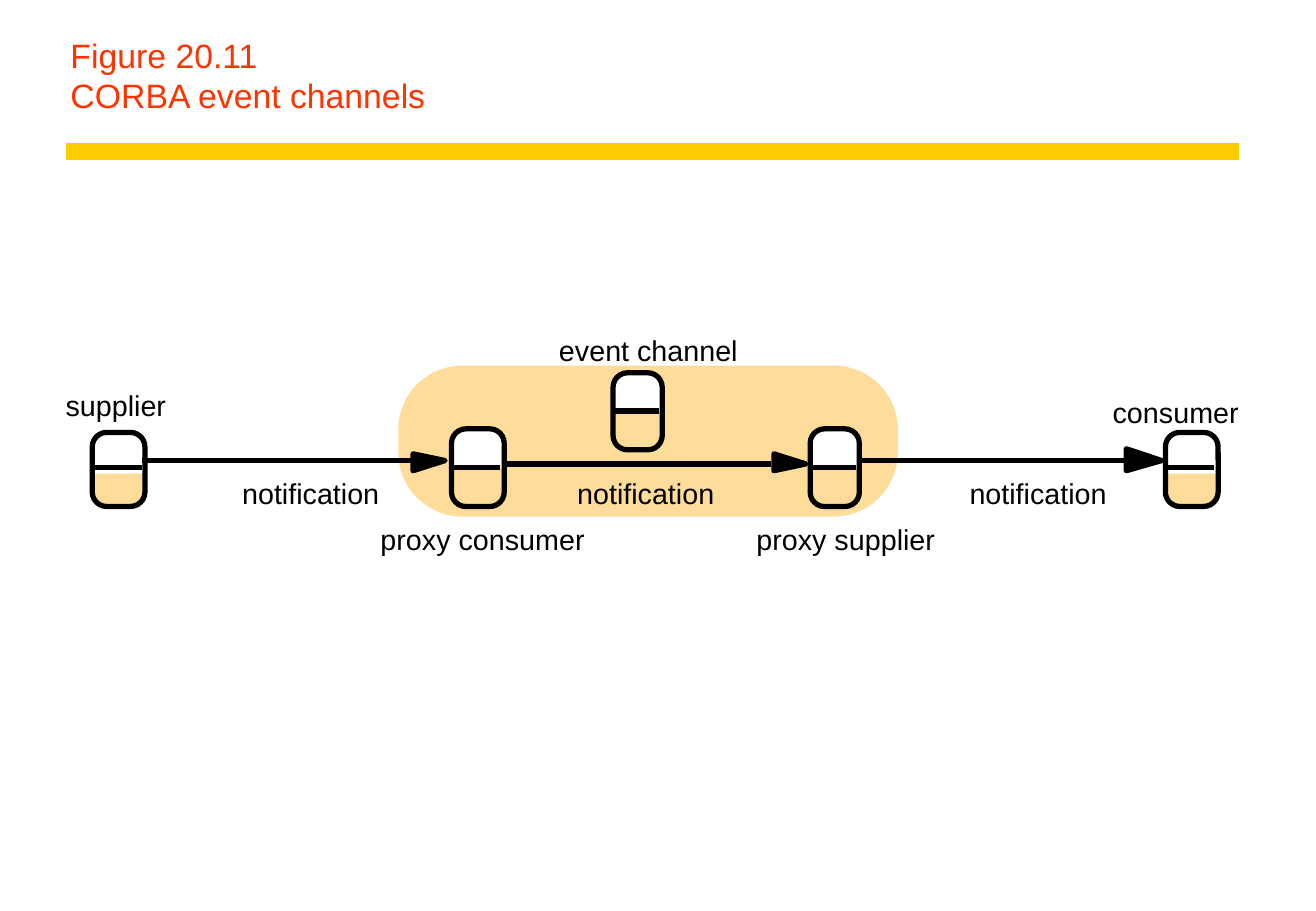
import pptx
import pptx.util
import pptx.dml.color
import pptx.enum.shapes
import pptx.enum.text
import pptx.oxml.ns
from lxml import etree

Pt = pptx.util.Pt
SHAPES = pptx.enum.shapes.MSO_SHAPE

BLACK, WHITE, PEACH = "000000", "FFFFFF", "FFDC99"
GOLD, RED = "FFCC00", "FF3300"
FONT = "Arial"
STROKE = 3.12
CORNER = 8.6

TITLE_LINES = ["Figure 20.11", "CORBA event channels"]

# text, left, top, width
LABELS = [
    ("supplier", 38.9, 229.7, 62),
    ("consumer", 659.9, 234, 78),
    ("event channel", 331.5, 197.3, 110),
    ("proxy consumer", 225.7, 309.6, 125),
    ("proxy supplier", 448.6, 309.6, 110),
    ("notification", 143.6, 282.2, 85),
    ("notification", 342.3, 282.2, 85),
    ("notification", 575, 282.2, 85),
]

# left, top, width, height, divider y, bottom of the white part, divider length
OBJECTS = {
    "supplier": (54.7, 256.3, 31.3, 43.9, 277.2, 280.8, 29.5),
    "proxy consumer": (267.8, 254.2, 31.3, 46.1, 277.2, 277.2, 29),
    "event channel": (363.6, 221, 29.2, 45.7, 243.6, 243.6, 27.4),
    "proxy supplier": (480.5, 254.2, 29.2, 46.1, 277.2, 277.2, 27.4),
    "consumer": (691.2, 256.3, 31.3, 43.9, 277.2, 280.8, 29),
}

# line start x, line end x, y, head base x, head top, head bottom, tip x
ARROWS = [
    (84.2, 244.8, 272.9, 244.8, 268.6, 279.4, 263.5),
    (298.8, 457.2, 275, 459.4, 268.6, 279.4, 478.1),
    (509.8, 668.2, 272.9, 668.2, 266.4, 279.4, 689),
]


def color(hex_string):
    return pptx.dml.color.RGBColor.from_string(hex_string)


def style(shape, fill=None, line=None):
    shape.shadow.inherit = False
    if fill:
        shape.fill.solid()
        shape.fill.fore_color.rgb = color(fill)
    else:
        shape.fill.background()
    if line:
        shape.line.color.rgb = color(line)
        shape.line.width = Pt(STROKE)
    else:
        shape.line.fill.background()


def add_box(slide, kind, left, top, width, height, fill=None, line=None, radius=CORNER):
    shape = slide.shapes.add_shape(kind, Pt(left), Pt(top), Pt(width), Pt(height))
    shape.adjustments[0] = radius / min(width, height)
    style(shape, fill, line)


def add_line(slide, start_x, end_x, y, line, width=STROKE):
    connector = slide.shapes.add_connector(
        pptx.enum.shapes.MSO_CONNECTOR.STRAIGHT, Pt(start_x), Pt(y), Pt(end_x), Pt(y))
    connector.line.color.rgb = color(line)
    connector.line.width = Pt(width)
    etree.SubElement(connector._element.spPr, pptx.oxml.ns.qn("a:effectLst"))


def add_text(slide, lines, left, top, width, height, size, text_color):
    box = slide.shapes.add_textbox(Pt(left), Pt(top), Pt(width), Pt(height))
    frame = box.text_frame
    frame.word_wrap = True
    frame.margin_left = frame.margin_right = frame.margin_top = frame.margin_bottom = 0
    paragraph = frame.paragraphs[0]
    for index, line in enumerate(lines):
        if index:
            paragraph.add_line_break()
        run = paragraph.add_run()
        run.text = line
        run.font.name = FONT
        run.font.size = Pt(size)
        run.font.color.rgb = color(text_color)
    return frame


def add_object(slide, left, top, width, height, divider, white_bottom, divider_length):
    """Draw a rounded box, white above and peach below, with a dividing line."""
    add_box(slide, SHAPES.ROUNDED_RECTANGLE, left, top, width, height, fill=PEACH)
    add_box(slide, SHAPES.ROUND_2_SAME_RECTANGLE, left, top, width, white_bottom - top,
            fill=WHITE)
    add_box(slide, SHAPES.ROUNDED_RECTANGLE, left, top, width, height, line=BLACK)
    add_line(slide, left, left + divider_length, divider, BLACK)


def add_arrow(slide, start, end, y, base, head_top, head_bottom, tip):
    add_line(slide, start, end, y, BLACK)
    builder = slide.shapes.build_freeform(base, head_top, scale=Pt(1))
    builder.add_line_segments([(tip, y), (base, head_bottom)], close=True)
    style(builder.convert_to_shape(), BLACK, BLACK)


def main():
    presentation = pptx.Presentation()
    presentation.slide_width = Pt(780.48)
    presentation.slide_height = Pt(540)
    slide = presentation.slides.add_slide(presentation.slide_layouts[6])

    add_line(slide, 38.9, 734.6, 90, GOLD, 10)
    title = add_text(slide, TITLE_LINES, 41.8, 21.6, 685.4, 46.8, 20, RED)
    title.vertical_anchor = pptx.enum.text.MSO_ANCHOR.BOTTOM

    add_box(slide, SHAPES.ROUNDED_RECTANGLE, 236.2, 216.7, 296.3, 89.5,
            fill=PEACH, radius=38)
    for geometry in OBJECTS.values():
        add_object(slide, *geometry)
    for arrow in ARROWS:
        add_arrow(slide, *arrow)
    for text, left, top, width in LABELS:
        add_text(slide, [text], left, top, width, 20.2, 17, BLACK)

    presentation.save("out.pptx")


if __name__ == "__main__":
    main()
